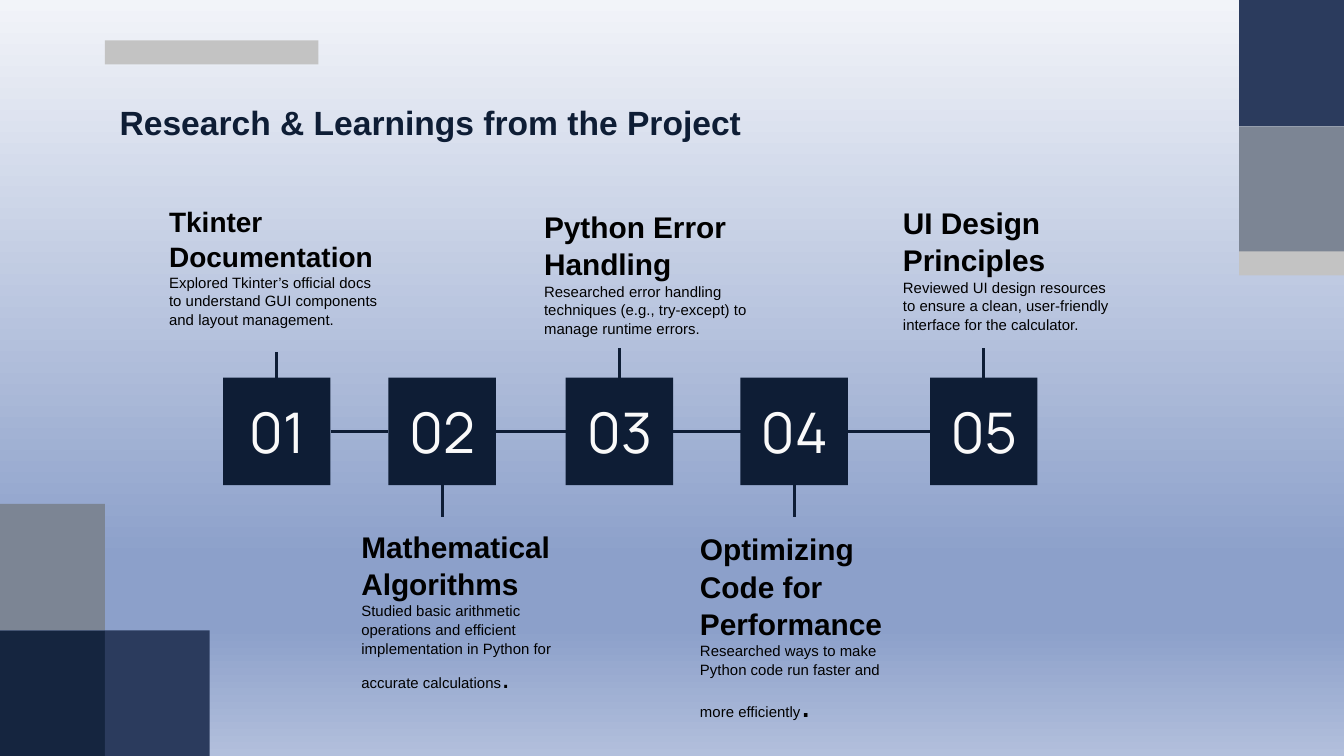
from lxml import etree
from pptx import Presentation
from pptx.dml.color import RGBColor
from pptx.enum.shapes import MSO_CONNECTOR, MSO_SHAPE
from pptx.enum.text import MSO_ANCHOR, PP_ALIGN
from pptx.oxml.ns import qn
from pptx.util import Inches, Pt

COLORS = {
    "navy": "0E1D35", "dark": "15253F", "blue": "2B3B5D", "slate": "7C8594",
    "silver": "C3C3C3", "white": "FAFAFA", "black": "000000",
}
GRADIENT = [(0, "F2F4F9"), (74, "8CA0CA"), (83, "8CA0CA"), (100, "B2BFDC")]

prs = Presentation()
prs.slide_width, prs.slide_height = Inches(10), Inches(5.625)
s = prs.slides.add_slide(prs.slide_layouts[5])


def add_block(x, y, w, h, color):
    sp = s.shapes.add_shape(MSO_SHAPE.RECTANGLE, Inches(x), Inches(y), Inches(w), Inches(h))
    sp.shadow.inherit = False
    sp.fill.solid()
    sp.fill.fore_color.rgb = RGBColor.from_string(COLORS[color])
    sp.line.fill.background()
    return sp


def add_line(x1, y1, x2, y2):
    line = s.shapes.add_connector(
        MSO_CONNECTOR.STRAIGHT, Inches(x1), Inches(y1), Inches(x2), Inches(y2))
    line.line.color.rgb = RGBColor.from_string(COLORS["navy"])
    line.line.width = Pt(1.5)
    etree.SubElement(line._element.spPr, qn("a:effectLst"))


# Background gradient, top to bottom
fill = s.background.fill
fill.gradient()
fill.gradient_angle = 270
stops = fill._fill._gradFill.find(qn("a:gsLst"))
for stop in list(stops):
    stops.remove(stop)
for percent, color in GRADIENT:
    stop = etree.SubElement(stops, qn("a:gs"), pos=str(percent * 1000))
    etree.SubElement(stop, qn("a:srgbClr"), val=color)

# Corner blocks and accent bar
W, H = 0.78, 0.94
for x, y, w, h, color in [
    (0, 4.69, W, H, "dark"),
    (0, 3.75, W, H, "slate"),
    (W, 4.69, W, H, "blue"),
    (9.22, 0, W, H, "blue"),
    (9.22, 0.94, W, H, "slate"),
    (9.22, 1.87, W, 0.18, "silver"),
    (W, 0.3, 1.59, 0.18, "silver"),
]:
    add_block(x, y, w, h, color)

# Title
title = s.shapes.title
title.left, title.top, title.width, title.height = map(Inches, (0.79, 0.59, 8.42, 0.63))
tf = title.text_frame
tf.text = "Research & Learnings from the Project"
tf.vertical_anchor = MSO_ANCHOR.MIDDLE
p = tf.paragraphs[0]
p.alignment = PP_ALIGN.LEFT
p.font.name, p.font.size, p.font.bold = "Arial", Pt(18), True
p.font.color.rgb = RGBColor.from_string(COLORS["navy"])

# Timeline: box left, text left and top, stem end, heading and its size,
# body paragraphs, size of a larger closing full stop
BOX, BOX_TOP = 0.8, 2.81
STEPS = [
    (1.66, 1.16, 1.41, 2.62, "Tkinter Documentation", 15,
     ["Explored Tkinter’s official docs to understand GUI components and layout management."], None),
    (2.89, 2.59, 3.82, 3.85, "Mathematical Algorithms", 16,
     ["Studied basic arithmetic operations and efficient implementation in Python "
      "for accurate calculations"], 16),
    (4.21, 3.95, 1.44, 2.59, "Python Error Handling", 16,
     ["Researched error handling techniques (e.g., try-except) to manage runtime errors."], None),
    (5.51, 5.11, 3.84, 3.85, "Optimizing Code for Performance", 16,
     ["Researched ways to make Python code run faster and", "more efficiently"], 20),
    (6.92, 6.62, 1.41, 2.59, "UI Design Principles", 16,
     ["Reviewed UI design resources to ensure a clean, user-friendly interface "
      "for the calculator."], None),
]
middle = BOX_TOP + BOX / 2
previous_right = None
for number, (x, text_x, text_y, stem_end, heading, size, body, stop_size) in enumerate(STEPS, 1):
    # Connecting lines
    if previous_right is not None:
        add_line(previous_right, middle, x, middle)
    previous_right = x + BOX
    stem_start = BOX_TOP if stem_end < BOX_TOP else BOX_TOP + BOX
    add_line(x + BOX / 2, stem_start, x + BOX / 2, stem_end)

    # Numbered box
    tf = add_block(x, BOX_TOP, BOX, BOX, "navy").text_frame
    tf.vertical_anchor = MSO_ANCHOR.MIDDLE
    p = tf.paragraphs[0]
    p.text = f"{number:02d}"
    p.alignment = PP_ALIGN.CENTER
    p.font.name, p.font.size = "Manrope", Pt(30)
    p.font.color.rgb = RGBColor.from_string(COLORS["white"])

    # Heading and description
    tf = s.shapes.add_textbox(
        Inches(text_x), Inches(text_y), Inches(1.81), Inches(1.18)).text_frame
    tf.word_wrap = True
    tf.margin_left = tf.margin_right = tf.margin_top = tf.margin_bottom = Inches(0.1)
    tf.text = "\n".join([heading, *body])
    for i, p in enumerate(tf.paragraphs):
        p.line_spacing = 1.04
        p.font.name, p.font.bold = "Arial", i == 0
        p.font.size = Pt(size if i == 0 else 8)
        p.font.color.rgb = RGBColor.from_string(COLORS["black"])
    if stop_size:
        r = tf.paragraphs[-1].add_run()
        r.text = "."
        r.font.size = Pt(stop_size)

prs.save("out.pptx")
